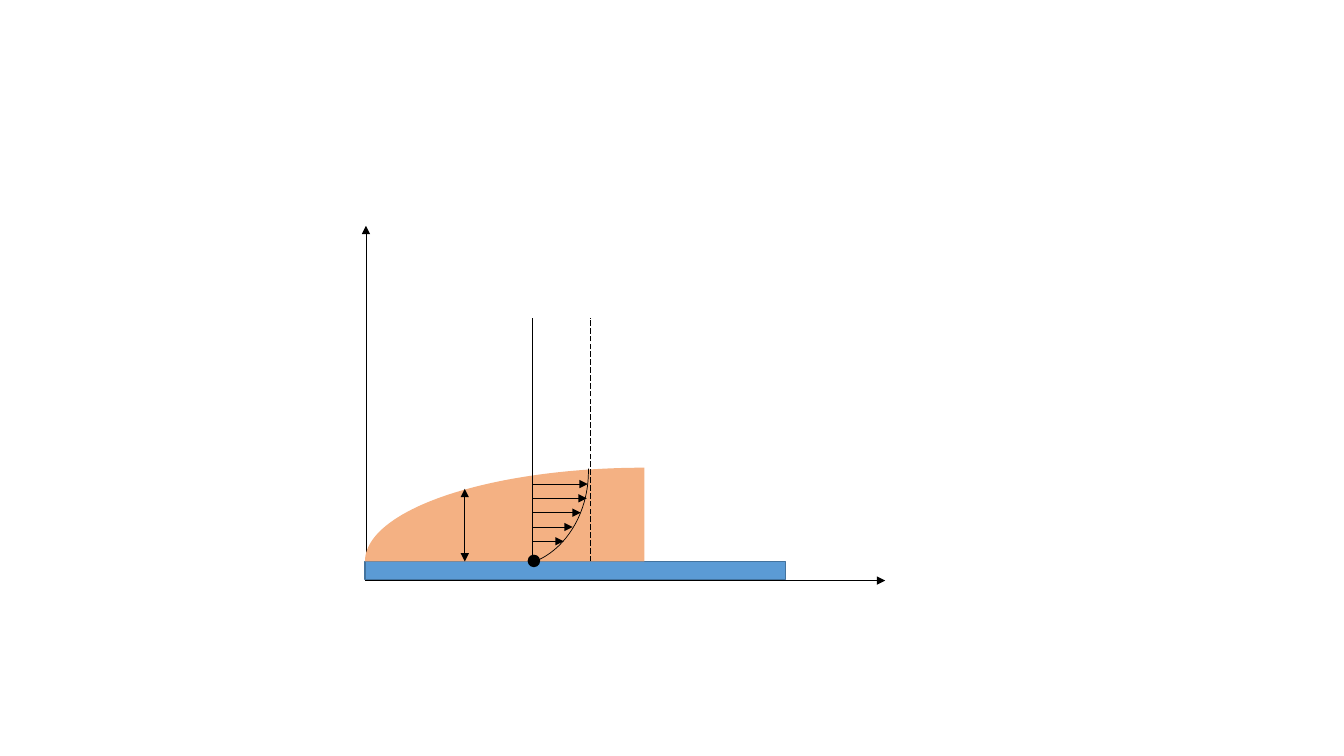
"""Boundary layer over a flat plate, with its velocity profile."""
from lxml.etree import SubElement
from pptx import Presentation
from pptx.dml.color import RGBColor
from pptx.enum.dml import MSO_LINE
from pptx.enum.shapes import MSO_CONNECTOR, MSO_SHAPE
from pptx.oxml.ns import qn
from pptx.util import Inches, Pt

BLACK = RGBColor(0x00, 0x00, 0x00)
BLUE = RGBColor(0x5B, 0x9B, 0xD5)
DARK_BLUE = RGBColor(0x43, 0x73, 0x9E)
ORANGE = RGBColor(0xF4, 0xB1, 0x83)
CELL = Inches(0.1)

PLATE_LEFT, PLATE_TOP, PLATE_BOTTOM = 36.2, 55.7, 57.6
STATION, FREE_STREAM, LINE_TOP = 52.8, 58.6, 31.5
LAYER_TOP = 46.4


def add_line(x1, y1, x2, y2, ends=(), dash=None):
    ends_at = [round(v * CELL) for v in (x1, y1, x2, y2)]
    c = s.shapes.add_connector(MSO_CONNECTOR.STRAIGHT, *ends_at)
    c.line.color.rgb = BLACK
    c.line.width = Pt(0.5)
    if dash:
        c.line.dash_style = dash
    sp_pr = c._element.spPr
    ln = sp_pr.find(qn("a:ln"))
    for end in ends:
        SubElement(ln, qn(f"a:{end}")).set("type", "triangle")
    SubElement(sp_pr, qn("a:effectLst"))


def add_figure(kind, x, y, w, h, fill=None, line=None, width=1, angles=()):
    box = [round(v * CELL) for v in (x, y, w, h)]
    sp = s.shapes.add_shape(kind, *box)
    sp.shadow.inherit = False
    for i, angle in enumerate(angles):
        sp.adjustments[i] = angle * 0.6
    if fill is None:
        sp.fill.background()
    else:
        sp.fill.solid()
        sp.fill.fore_color.rgb = fill
    if line is None:
        sp.line.fill.background()
    else:
        sp.line.color.rgb = line
        sp.line.width = Pt(width)
    return sp


prs = Presentation()
prs.slide_width, prs.slide_height = Inches(13.33), Inches(7.5)
s = prs.slides.add_slide(prs.slide_layouts[6])

add_line(PLATE_LEFT, PLATE_BOTTOM, 87.8, PLATE_BOTTOM, ["tailEnd"])
add_line(36.3, PLATE_BOTTOM, 36.3, 22.4, ["tailEnd"])

add_figure(MSO_SHAPE.RECTANGLE, PLATE_LEFT, PLATE_TOP, 41.7, 1.8, BLUE, DARK_BLUE)
add_figure(MSO_SHAPE.ARC, PLATE_LEFT, LAYER_TOP, 55.4, 2 * (PLATE_TOP - LAYER_TOP),
           ORANGE, angles=(180, 270))

add_line(46.1, 48.5, 46.1, PLATE_TOP, ["headEnd", "tailEnd"])
add_line(STATION, PLATE_TOP, STATION, LINE_TOP)
add_line(FREE_STREAM, PLATE_TOP, FREE_STREAM, LINE_TOP, dash=MSO_LINE.LONG_DASH)

profile = add_figure(MSO_SHAPE.ARC, 41.8, 39.6, 18.3, 14.8, line=BLACK, width=0.5,
                     angles=(262.39, 343.4))
profile.rotation = 93.6
add_figure(MSO_SHAPE.OVAL, 52.4, 55.1, 1.1, 1.1, BLACK, BLACK)

for row, tip in enumerate((55.9, 56.8, 57.6, 58.2, 58.3)):
    y = 53.7 - 1.42 * row
    add_line(STATION, y, tip, y, ["tailEnd"])

prs.save("out.pptx")
